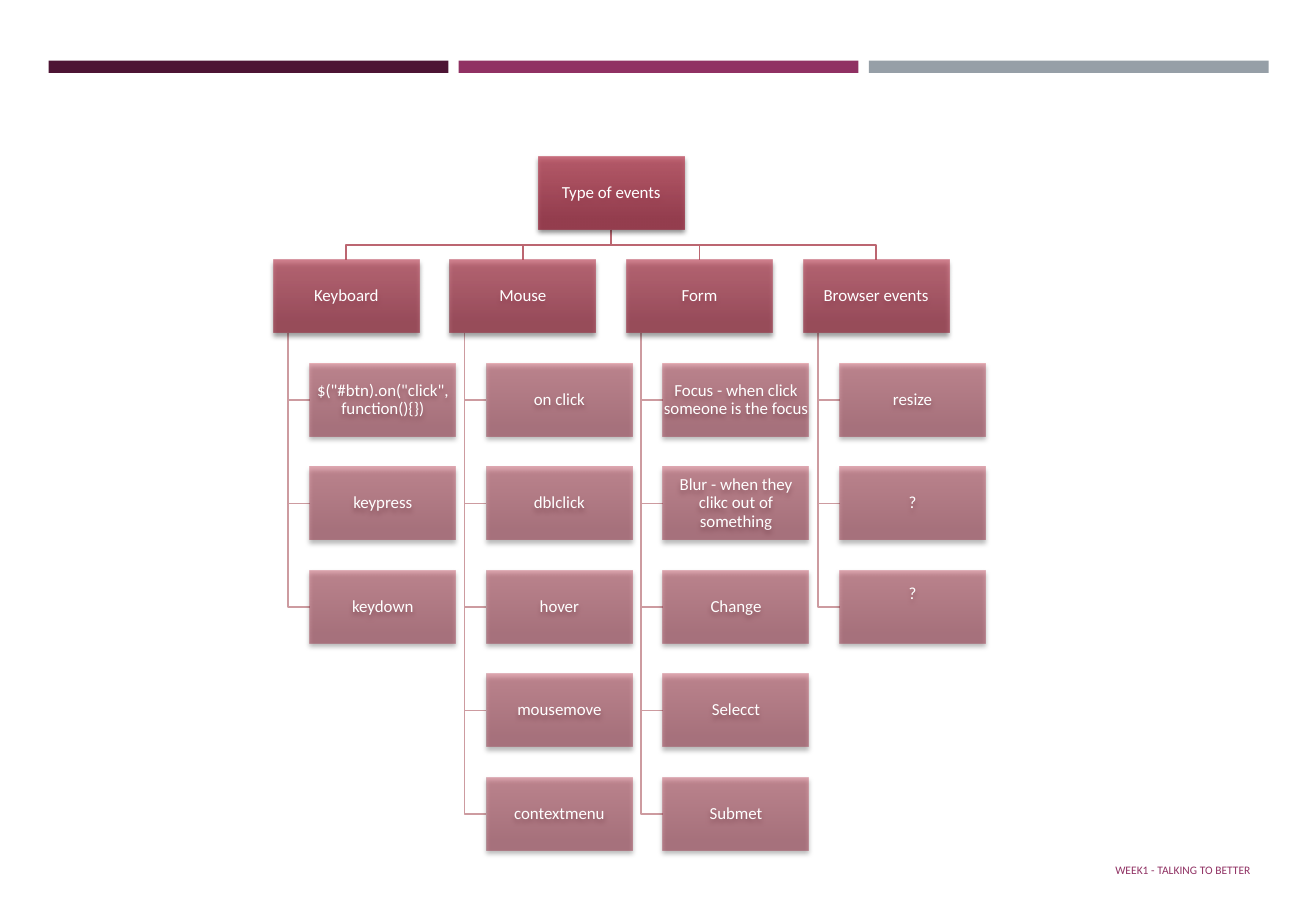
from dataclasses import dataclass

import pptx
import pptx.dml.color
import pptx.enum.shapes
import pptx.enum.text
import pptx.oxml
import pptx.oxml.ns
import pptx.util

Inches = pptx.util.Inches
Pt = pptx.util.Pt
RGBColor = pptx.dml.color.RGBColor
RECTANGLE = pptx.enum.shapes.MSO_SHAPE.RECTANGLE
MIDDLE = pptx.enum.text.MSO_ANCHOR.MIDDLE
CENTER = pptx.enum.text.PP_ALIGN.CENTER


@dataclass(frozen=True)
class Theme:
    font: str = "Calibri"
    box_size: float = 10
    footer_size: float = 6.8
    white: str = "FFFFFF"
    footer: str = "903163"
    bars: tuple[str, ...] = ("4D1434", "903163", "969FA7")
    gradient: tuple[tuple[float, str], ...] = ((0, "BF4E61"), (0.84, "962A3F"))
    root_opacity: int = 80
    group_opacity: int = 70
    event_opacity: int = 50
    group_line: str = "BC6671"
    event_line: str = "CD9BA0"


@dataclass(frozen=True)
class Event:
    label: str
    lift: float = 0  # extra bottom inset that raises the label


@dataclass(frozen=True)
class Group:
    label: str
    events: tuple[Event, ...]


THEME = Theme()
GROUPS = (
    Group("Keyboard", (Event('$("#btn).on("click", function(){})'),
                       Event("keypress"), Event("keydown"))),
    Group("Mouse", (Event("on click"), Event("dblclick"), Event("hover"),
                    Event("mousemove"), Event("contextmenu"))),
    Group("Form", (Event("Focus - when click someone is the focus"),
                   Event("Blur - when they clikc out of something"),
                   Event("Change"), Event("Selecct"), Event("Submet"))),
    Group("Browser events", (Event("resize"), Event("?"), Event("?", lift=0.21))),
)

# Tree grid, in inches
BOX_WIDTH, BOX_HEIGHT = 1.2, 0.6
TREE_LEFT, TREE_TOP = 2.25, 1.29
COLUMN_STEP = (6.61 - TREE_LEFT) / 3
ROW_STEP = (6.4 - TREE_TOP) / 6
ROOT_LEFT = TREE_LEFT + 1.5 * COLUMN_STEP
TRUNK_INSET, EVENT_INDENT = 0.12, 0.3


def row_top(row: int) -> float:
    return TREE_TOP + row * ROW_STEP


def column_left(column: int) -> float:
    return TREE_LEFT + column * COLUMN_STEP


def add_bar(page, index: int, color: str) -> None:
    bar = page.shapes.add_shape(RECTANGLE, Inches(0.4 + index * 3.375), Inches(0.5),
                                Inches(3.29), Inches(0.1))
    bar.shadow.inherit = False
    bar.fill.solid()
    bar.fill.fore_color.rgb = RGBColor.from_string(color)
    bar.line.fill.background()


def add_elbow(page, points: list[tuple[float, float]], color: str) -> None:
    corners = [(Inches(x), Inches(y)) for x, y in points]
    builder = page.shapes.build_freeform(*corners[0])
    builder.add_line_segments(corners[1:], close=False)
    elbow = builder.convert_to_shape()
    elbow.shadow.inherit = False
    elbow.fill.background()
    elbow.line.color.rgb = RGBColor.from_string(color)
    elbow.line.width = Pt(1)


def add_gradient(box, opacity: int) -> None:
    box.fill.gradient()
    box.fill.gradient_angle = 270
    for stop, (position, color) in zip(box.fill.gradient_stops, THEME.gradient):
        stop.position = position
        stop.color.rgb = RGBColor.from_string(color)
    for color_node in box.fill._xPr.iter(pptx.oxml.ns.qn("a:srgbClr")):
        alpha = pptx.oxml.parse_xml(
            f'<a:alpha {pptx.oxml.ns.nsdecls("a")} val="{opacity * 1000}"/>')
        color_node.append(alpha)


def add_shadow(box) -> None:
    box.shadow.inherit = False
    effects = box._element.spPr.find(pptx.oxml.ns.qn("a:effectLst"))
    effects.append(pptx.oxml.parse_xml(
        f'<a:outerShdw {pptx.oxml.ns.nsdecls("a")} blurRad="{Pt(3)}" dist="{Pt(2)}" '
        'dir="5400000" rotWithShape="0"><a:srgbClr val="000000">'
        '<a:alpha val="55000"/></a:srgbClr></a:outerShdw>'))


def set_text(box, text: str, size: float, color: str) -> None:
    frame = box.text_frame
    frame.word_wrap = True
    frame.vertical_anchor = MIDDLE
    para = frame.paragraphs[0]
    para.text = text
    para.font.name = THEME.font
    para.font.size = Pt(size)
    para.font.color.rgb = RGBColor.from_string(color)


def add_box(page, left: float, top: float, label: str, opacity: int,
            lift: float = 0) -> None:
    box = page.shapes.add_shape(RECTANGLE, Inches(left), Inches(top),
                                Inches(BOX_WIDTH), Inches(BOX_HEIGHT))
    add_gradient(box, opacity)
    box.line.fill.background()
    add_shadow(box)
    set_text(box, label, THEME.box_size, THEME.white)
    frame = box.text_frame
    frame.margin_left = frame.margin_right = frame.margin_top = Pt(0.5)
    frame.margin_bottom = Pt(0.5) + Inches(lift)
    frame.paragraphs[0].alignment = CENTER
    frame.paragraphs[0].line_spacing = 0.9


def add_group_lines(page, column: int, group: Group) -> None:
    left = column_left(column)
    root_x, root_bottom = ROOT_LEFT + BOX_WIDTH / 2, row_top(0) + BOX_HEIGHT
    group_x, group_top = left + BOX_WIDTH / 2, row_top(1)
    middle = (root_bottom + group_top) / 2
    trunk = left + TRUNK_INSET
    for row in range(2, 2 + len(group.events)):
        event_y = row_top(row) + BOX_HEIGHT / 2
        add_elbow(page, [(trunk, group_top + BOX_HEIGHT), (trunk, event_y),
                         (left + EVENT_INDENT, event_y)], THEME.event_line)
    add_elbow(page, [(root_x, root_bottom), (root_x, middle), (group_x, middle),
                     (group_x, group_top)], THEME.group_line)


def add_group_boxes(page, column: int, group: Group) -> None:
    left = column_left(column)
    add_box(page, left, row_top(1), group.label, THEME.group_opacity)
    for row, event in enumerate(group.events, start=2):
        add_box(page, left + EVENT_INDENT, row_top(row), event.label,
                THEME.event_opacity, event.lift)


def main() -> None:
    deck = pptx.Presentation()
    deck.slide_width, deck.slide_height = Inches(10.83), Inches(7.5)
    page = deck.slides.add_slide(deck.slide_layouts[6])

    # Header bars and footer
    for index, color in enumerate(THEME.bars):
        add_bar(page, index, color)
    footer = page.shapes.add_textbox(Inches(9.08), Inches(7), Inches(1.57), Inches(0.32))
    set_text(footer, "WEEK1 - TALKING TO BETTER", THEME.footer_size, THEME.footer)

    # Event tree: lines behind boxes
    for column, group in enumerate(GROUPS):
        add_group_lines(page, column, group)
    add_box(page, ROOT_LEFT, row_top(0), "Type of events", THEME.root_opacity)
    for column, group in enumerate(GROUPS):
        add_group_boxes(page, column, group)

    deck.save("out.pptx")


if __name__ == "__main__":
    main()
